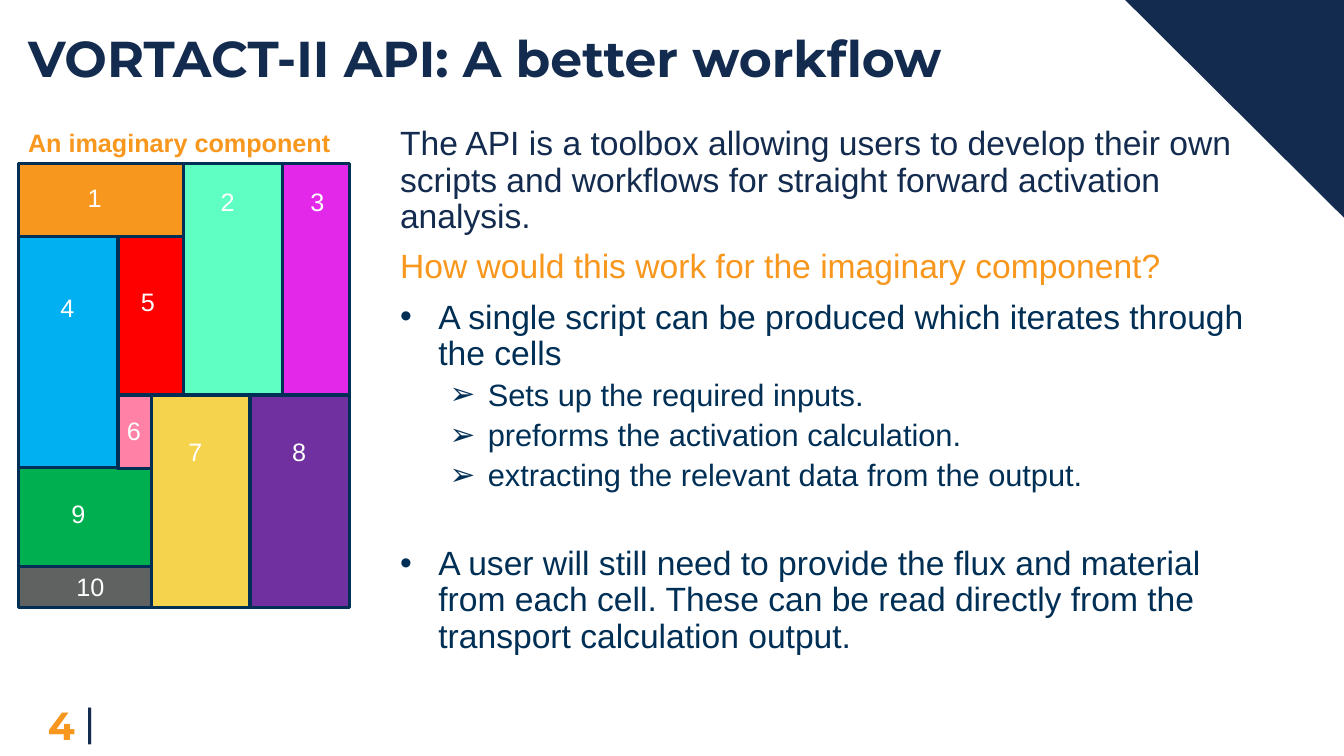
from dataclasses import dataclass
from typing import Any

from lxml.etree import SubElement
from pptx import Presentation
from pptx.dml.color import RGBColor
from pptx.enum.shapes import MSO_SHAPE
from pptx.enum.text import MSO_ANCHOR, PP_ALIGN
from pptx.oxml.ns import qn
from pptx.util import Pt

PX = 9144  # EMU in one px, 100 px to the inch
NAVY, EDGE, GOLD, WHITE = "132B4E", "002F56", "F8971D", "FFFFFF"

Box = tuple[int, int, int, int]


@dataclass(frozen=True)
class Cell:
    name: str
    box: Box
    fill: str
    label: tuple[int, int]


@dataclass(frozen=True)
class Para:
    text: str
    color: str = EDGE
    size: int = 24
    before: int = 10
    bullet: str = ""
    indent: int = 0


CELLS = [
    Cell("1", (18, 162, 164, 73), GOLD, (77, 176)),
    Cell("2", (182, 162, 99, 230), "5FFFC3", (209, 180)),
    Cell("4", (18, 235, 99, 229), "00B0F0", (50, 285)),
    Cell("9", (18, 464, 132, 99), "00B050", (61, 489)),
    Cell("7", (150, 392, 99, 211), "F6D34D", (177, 428)),
    Cell("8", (248, 392, 99, 211), "7030A0", (280, 428)),
    Cell("10", (18, 562, 132, 41), "606262", (66, 562)),
    Cell("3", (280, 162, 67, 230), "E328EA", (298, 180)),
    Cell("6", (117, 392, 33, 73), "FF81A6", (116, 407)),
    Cell("5", (117, 235, 65, 157), "FF0000", (130, 279)),
]

STEPS = [
    "Sets up the required inputs.",
    "preforms the activation calculation.",
    "extracting the relevant data from the output.",
]

BODY = [
    Para("The API is a toolbox allowing users to develop their own scripts "
         "and workflows for straight forward activation analysis.", NAVY, before=0),
    Para("How would this work for the imaginary component?", GOLD),
    Para("A single script can be produced which iterates through the cells",
         bullet="•", indent=38),
    *(Para(step, size=22, before=5, bullet="➢", indent=87) for step in STEPS),
    Para("A user will still need to provide the flux and material from each cell. "
         "These can be read directly from the transport calculation output.",
         before=38, bullet="•", indent=38),
]


def emu(box: Box) -> list[int]:
    return [n * PX for n in box]


def rgb(code: str) -> RGBColor:
    return RGBColor.from_string(code)


def put(item: Any, values: dict[str, Any]) -> None:
    for key, value in values.items():
        setattr(item, key, value)


def style(font: Any, size: int, color: str, name: str = "Arial", bold: bool = False) -> None:
    put(font, {"size": Pt(size), "name": name, "bold": bold})
    font.color.rgb = rgb(color)


def write(shapes: Any, text: str, box: Box, size: int, color: str,
          face: str = "Arial", bold: bool = False, wrap: bool = True,
          anchor: MSO_ANCHOR = MSO_ANCHOR.TOP, align: PP_ALIGN = PP_ALIGN.LEFT) -> Any:
    frame = shapes.add_textbox(*emu(box)).text_frame
    put(frame, {"word_wrap": wrap, "vertical_anchor": anchor})
    para = frame.paragraphs[0]
    para.alignment = align
    run = para.add_run()
    run.text = text
    style(run.font, size, color, face, bold)
    return frame


def paint(shape: Any, color: str) -> None:
    shape.shadow.inherit = False
    shape.fill.solid()
    shape.fill.fore_color.rgb = rgb(color)


def mark(para: Any, bullet: str, indent: int) -> None:
    props = para._p.get_or_add_pPr()
    props.set("marL", str(indent * PX))
    props.set("indent", str(-38 * PX))
    SubElement(props, qn("a:buFont")).set("typeface", "Arial")
    SubElement(props, qn("a:buChar")).set("char", bullet)


def fill_body(shapes: Any) -> None:
    frame = shapes.add_textbox(*emu((387, 121, 877, 557))).text_frame
    frame.word_wrap = True
    for i, item in enumerate(BODY):
        para = frame.add_paragraph() if i else frame.paragraphs[0]
        if item.bullet:
            mark(para, item.bullet, item.indent)
        put(para, {"line_spacing": 0.9, "space_before": Pt(item.before),
                   "level": int(item.indent > 38)})
        run = para.add_run()
        run.text = item.text
        style(run.font, item.size, item.color)


def draw_part(shapes: Any) -> None:
    for cell in CELLS:
        rect = shapes.add_shape(MSO_SHAPE.RECTANGLE, *emu(cell.box))
        paint(rect, cell.fill)
        rect.line.color.rgb = rgb(EDGE)
        rect.line.width = Pt(2.25)
    write(shapes, "An imaginary component", (18, 121, 323, 40), 18, GOLD,
          bold=True, wrap=False)
    for cell in CELLS:
        width = 20 + 14 * len(cell.name)
        write(shapes, cell.name, (*cell.label, width, 40), 18, WHITE, wrap=False)


def main() -> None:
    deck = Presentation()
    put(deck, {"slide_width": 1333 * PX, "slide_height": 750 * PX})
    shapes = deck.slides.add_slide(deck.slide_layouts[6]).shapes

    # Corner triangle
    pen = shapes.build_freeform(1116, 0, scale=PX)
    pen.add_line_segments([(1333, 0), (1333, 216)], close=True)
    corner = pen.convert_to_shape()
    paint(corner, NAVY)
    corner.line.fill.background()

    # Page number and its bar
    bar = write(shapes, "|", (84, 695, 5, 40), 28, NAVY, anchor=MSO_ANCHOR.MIDDLE)
    put(bar, dict.fromkeys(
        ("margin_left", "margin_right", "margin_top", "margin_bottom"), 0))
    write(shapes, "4", (11, 699, 73, 40), 28, GOLD, "Montserrat", True,
          anchor=MSO_ANCHOR.MIDDLE, align=PP_ALIGN.RIGHT)

    # Title and body
    write(shapes, "VORTACT-II API: A better workflow", (18, 22, 1096, 79), 36, NAVY,
          "Montserrat", True)
    fill_body(shapes)

    # Component with numbered cells
    draw_part(shapes.add_group_shape().shapes)

    deck.save("out.pptx")


if __name__ == "__main__":
    main()
